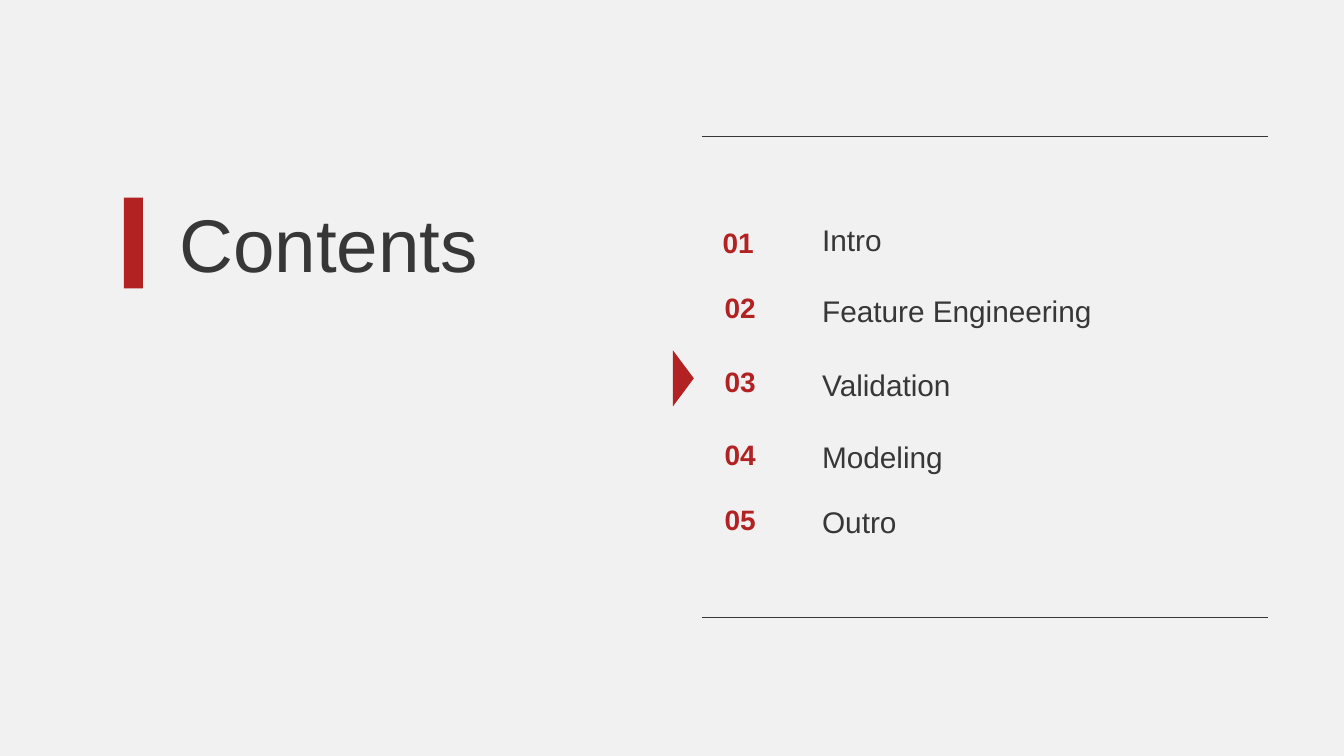
from dataclasses import dataclass

from lxml.etree import SubElement
from pptx import Presentation
from pptx.dml.color import RGBColor
from pptx.enum.shapes import MSO_CONNECTOR, MSO_SHAPE
from pptx.oxml.ns import qn
from pptx.slide import Slide
from pptx.text.text import TextFrame, _Paragraph
from pptx.util import Cm, Pt

DARK = "373737"
RED = "B22222"
PAPER = "F1F1F1"


@dataclass
class Box:
    left: float
    top: float
    width: float
    height: float


@dataclass
class Entry:
    title: str
    number_left: float
    number_top: float
    gap: float


@dataclass
class Marker:
    kind: MSO_SHAPE
    box: Box
    rotation: float


ENTRIES = [
    Entry("Intro", 18.21, 5.69, 0),
    Entry("Feature Engineering", 18.26, 7.32, 25.5),
    Entry("Validation", 18.26, 9.19, 27),
    Entry("Modeling", 18.26, 11.02, 26),
    Entry("Outro", 18.26, 12.67, 20.5),
]
MARKERS = [
    Marker(MSO_SHAPE.RECTANGLE, Box(3.12, 4.98, 0.48, 2.29), 0),
    Marker(MSO_SHAPE.ISOSCELES_TRIANGLE, Box(16.51, 9.27, 1.42, 0.53), 90),
]
RULE_TOPS = [3.45, 15.57]
RULE_LEFT, RULE_RIGHT = 17.7, 31.95


def color(value: str) -> RGBColor:
    return RGBColor.from_string(value)


def add_text_box(s: Slide, box: Box, inset: float = 0) -> TextFrame:
    sp = s.shapes.add_textbox(Cm(box.left), Cm(box.top), Cm(box.width), Cm(box.height))
    tf = sp.text_frame
    tf.word_wrap = True
    tf.margin_left = tf.margin_right = Cm(2 * inset)
    tf.margin_top = tf.margin_bottom = Cm(inset)
    return tf


def add_run(p: _Paragraph, text: str, size: float, ink: str, bold: bool = False) -> None:
    r = p.add_run()
    r.text = text
    r.font.name = "Arial"
    r.font.size = Pt(size)
    r.font.bold = bold
    r.font.color.rgb = color(ink)


def add_label(s: Slide, box: Box, text: str, size: float, spacing: float,
              ink: str, bold: bool = False) -> None:
    p = add_text_box(s, box).paragraphs[0]
    p.line_spacing = Pt(spacing)
    add_run(p, text, size, ink, bold)


def add_rule(s: Slide, top: float) -> None:
    line = s.shapes.add_connector(
        MSO_CONNECTOR.STRAIGHT, Cm(RULE_LEFT), Cm(top), Cm(RULE_RIGHT), Cm(top))
    line.line.color.rgb = color(DARK)
    line.line.width = Pt(0.75)
    SubElement(line._element.spPr, qn("a:effectLst"))


def add_marker(s: Slide, marker: Marker) -> None:
    box = marker.box
    sp = s.shapes.add_shape(
        marker.kind, Cm(box.left), Cm(box.top), Cm(box.width), Cm(box.height))
    sp.rotation = marker.rotation
    sp.shadow.inherit = False
    sp.fill.solid()
    sp.fill.fore_color.rgb = color(RED)
    sp.line.fill.background()


def add_titles(s: Slide, box: Box, entries: list[Entry]) -> None:
    tf = add_text_box(s, box, 0.127)
    for i, entry in enumerate(entries):
        p = tf.add_paragraph() if i else tf.paragraphs[0]
        if i:
            p.space_before = Pt(entry.gap)
        add_run(p, entry.title, 21.3, DARK)


def main() -> None:
    prs = Presentation()
    prs.slide_width, prs.slide_height = Cm(33.87), Cm(19.05)
    s = prs.slides.add_slide(prs.slide_layouts[6])
    s.background.fill.solid()
    s.background.fill.fore_color.rgb = color(PAPER)

    add_label(s, Box(4.52, 4.98, 12.8, 2.29), "Contents", 53.3, 64, DARK)
    for top in RULE_TOPS:
        add_rule(s, top)
    for number, entry in enumerate(ENTRIES, 1):
        box = Box(entry.number_left, entry.number_top, 3.3, 0.86)
        add_label(s, box, f"{number:02}", 20, 24, RED, True)
    for marker in MARKERS:
        add_marker(s, marker)
    add_titles(s, Box(20.47, 5.46, 9.73, 8.46), ENTRIES)
    prs.save("out.pptx")


if __name__ == "__main__":
    main()
